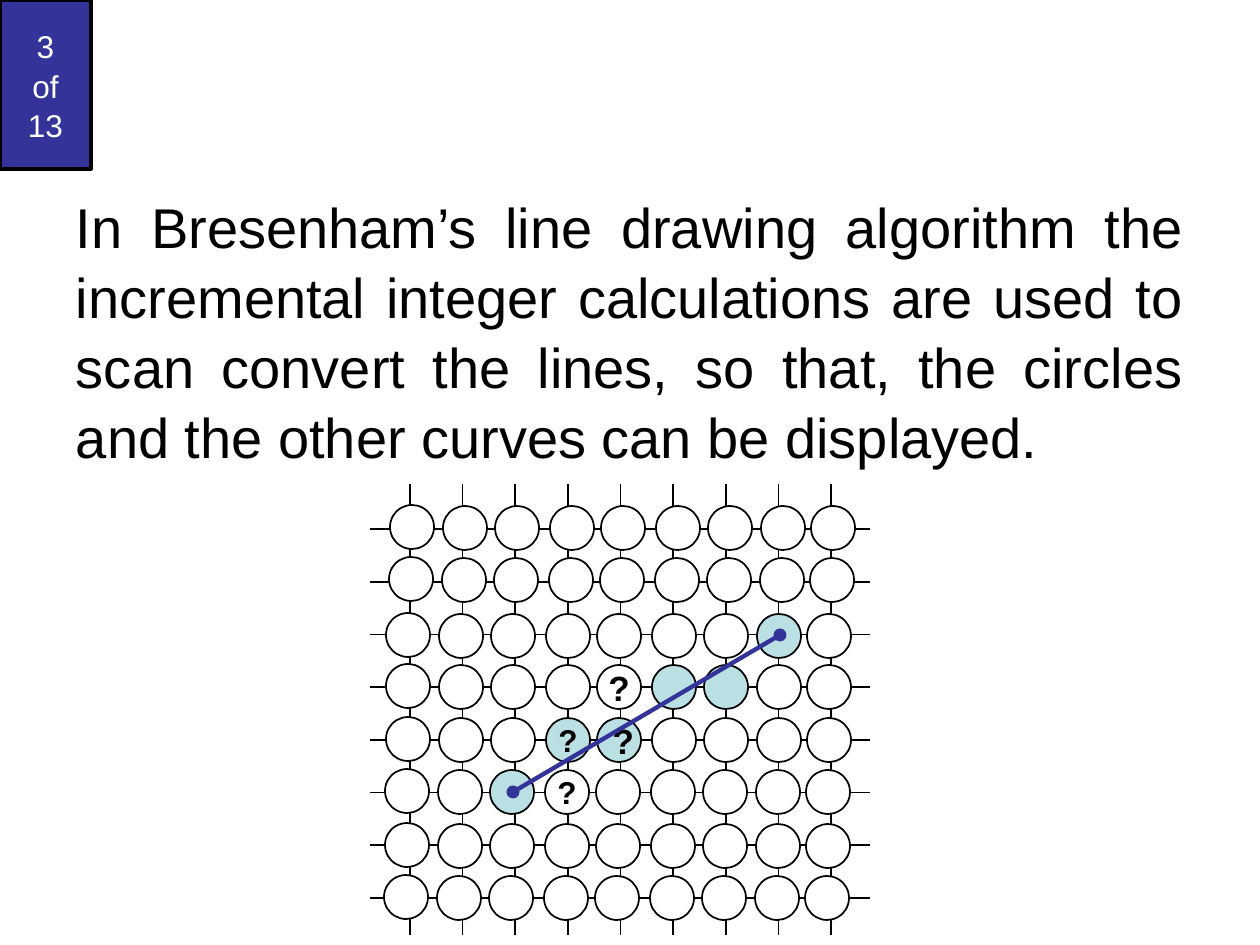
from lxml.etree import SubElement
from pptx import Presentation
from pptx.dml.color import RGBColor
from pptx.enum.shapes import MSO_CONNECTOR as Connector, MSO_SHAPE as Shape
from pptx.enum.text import MSO_ANCHOR as Anchor, PP_ALIGN as Align
from pptx.oxml.ns import qn
from pptx.util import Pt

EMU_PER_PX = 914400 / 126
BLACK, WHITE, BLUE, TEAL = "000000", "FFFFFF", "333399", "BBE0E3"

COLUMNS, ROWS = 9, 8
DIAMETER = 44
# Circles stand slightly off the grid lines, and each row leans a little.
CIRCLE_LEFTS = [14, 67, 119, 174, 225, 280, 332, 385, 435]
CIRCLE_TOPS = [22, 74, 130, 181, 234, 286, 340, 392]
ROW_SHIFTS = [6, 5, 2, 2, 2, 1, 1, 0]
LIT_PIXELS = {(2, 7), (3, 5), (3, 6), (4, 3), (4, 4), (5, 2)}
# (row, column): (text size, extra left inset)
QUESTIONS = {(3, 4): (20, 0), (4, 3): (18, 0), (4, 4): (20, 9), (5, 3): (18, 0)}


def px(length):
    return round(length * EMU_PER_PX)


def color(hex_string):
    return RGBColor.from_string(hex_string)


def write(shape, text, size=18, fill=BLACK, bold=False, align=Align.CENTER,
          anchor=Anchor.MIDDLE, wrap=True, before=0, spacing=1.0, inset=0):
    frame = shape.text_frame
    frame.word_wrap = wrap
    frame.vertical_anchor = anchor
    frame.margin_left = px(13 + inset)
    frame.margin_right = px(13)
    frame.margin_top = frame.margin_bottom = px(6)
    paragraph = frame.paragraphs[0]
    paragraph.text = text
    paragraph.alignment = align
    paragraph.space_before = Pt(before)
    paragraph.line_spacing = spacing
    for run in paragraph.runs:
        run.font.name = "Arial"
        run.font.size = Pt(size)
        run.font.bold = bold
        run.font.color.rgb = color(fill)
    return paragraph


def add_filled(slide, kind, left, top, width, height, fill, line_width=1):
    shape = slide.shapes.add_shape(kind, px(left), px(top), px(width), px(height))
    shape.shadow.inherit = False
    shape.fill.solid()
    shape.fill.fore_color.rgb = color(fill)
    shape.line.color.rgb = color(BLACK)
    shape.line.width = Pt(line_width)
    return shape


def add_line(slide, x1, y1, x2, y2, stroke=BLACK, width=1, oval_ends=False):
    line = slide.shapes.add_connector(Connector.STRAIGHT, px(x1), px(y1), px(x2), px(y2))
    line.line.color.rgb = color(stroke)
    line.line.width = Pt(width)
    if oval_ends:
        outline = line.line._get_or_add_ln()
        for end in ("a:headEnd", "a:tailEnd"):
            SubElement(outline, qn(end), type="oval")
    SubElement(line._element.spPr, qn("a:effectLst"))


def add_page_badge(slide, left, top, width, height):
    badge = add_filled(slide, Shape.RECTANGLE, left, top, width, height, BLUE, line_width=2)
    write(badge, "3\nof\n13", fill=WHITE, before=11.2, spacing=1.05)


def add_body(slide, left, top, width, height):
    body = slide.placeholders[1]
    body.left, body.top, body.width, body.height = map(px, (left, top, width, height))
    paragraph = write(
        body,
        "In Bresenham’s line drawing algorithm the incremental integer "
        "calculations are used to scan convert the lines, so that, the circles "
        "and the other curves can be displayed.",
        size=32, align=Align.JUSTIFY, anchor=Anchor.TOP, before=8, spacing=1.04)
    properties = paragraph._p.get_or_add_pPr()
    properties.set("marL", "0")
    properties.set("indent", "0")
    SubElement(properties, qn("a:buNone"))


def add_pixel_grid(slide, left, top, width, height):
    for column in range(COLUMNS):
        x = left + 40 + 421 * column / (COLUMNS - 1)
        add_line(slide, x, top + height, x, top)
    for row in range(ROWS):
        y = top + 45 + 369 * row / (ROWS - 1)
        add_line(slide, left, y, left + width, y)

    for row, circle_top in enumerate(CIRCLE_TOPS):
        for column, circle_left in enumerate(CIRCLE_LEFTS):
            cell = (row, column)
            raised = 1 if column == 0 else 0
            circle = add_filled(
                slide, Shape.OVAL,
                left + circle_left + ROW_SHIFTS[row], top + circle_top - raised,
                DIAMETER, DIAMETER, TEAL if cell in LIT_PIXELS else WHITE)
            if cell in QUESTIONS:
                size, inset = QUESTIONS[cell]
                write(circle, "?", size=size, bold=True, wrap=False, inset=inset)

    add_line(slide, left + 143, top + 308, left + 410, top + 151,
             stroke=BLUE, width=2.5, oval_ends=True)


def main():
    presentation = Presentation()
    presentation.slide_width = px(1260)
    presentation.slide_height = px(945)
    slide = presentation.slides.add_slide(presentation.slide_layouts[1])
    title = slide.shapes.title._element
    title.getparent().remove(title)
    add_page_badge(slide, 0, 0, 91, 169)
    add_body(slide, 63, 184, 1134, 761)
    add_pixel_grid(slide, 370, 484, 500, 451)
    presentation.save("out.pptx")


if __name__ == "__main__":
    main()
